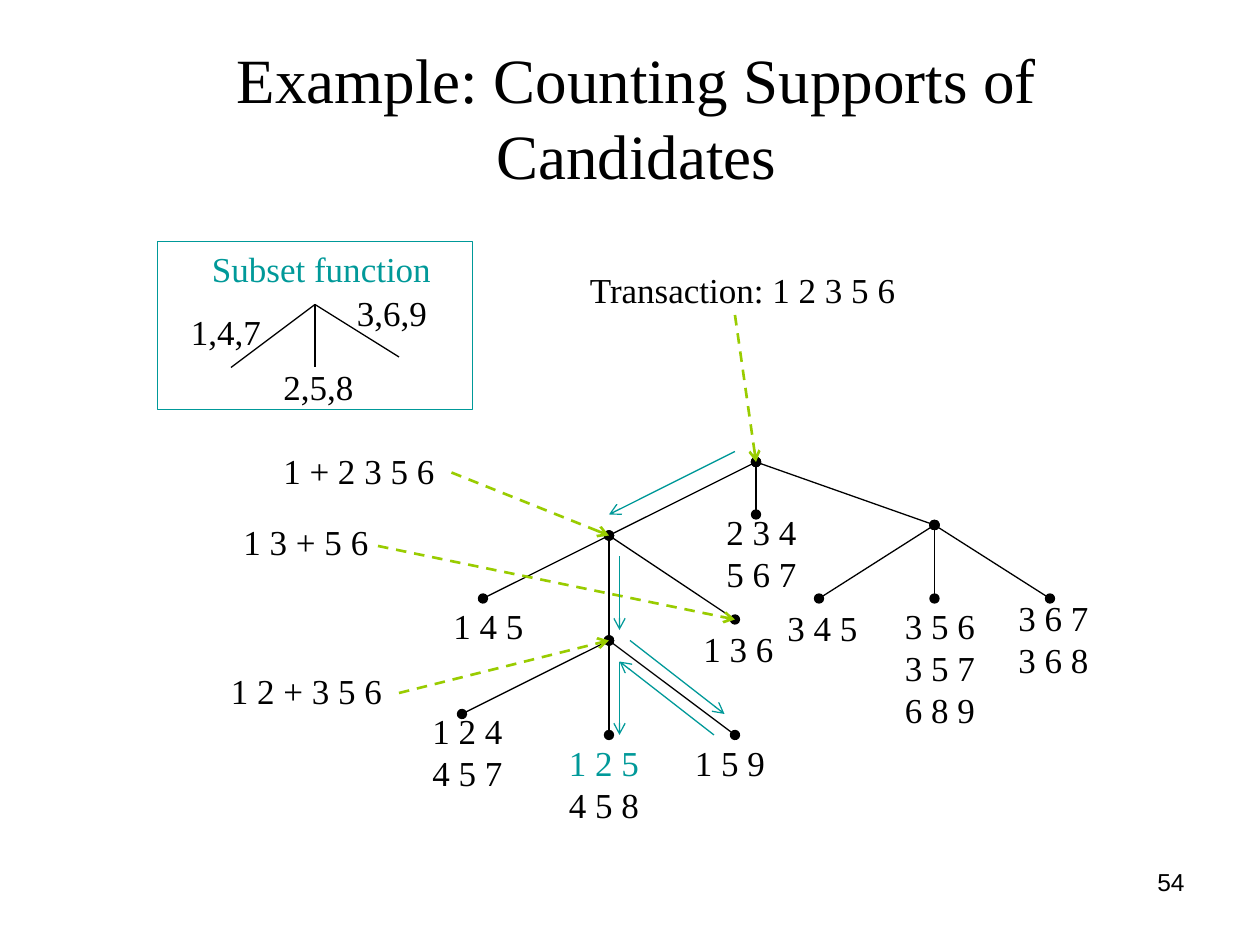
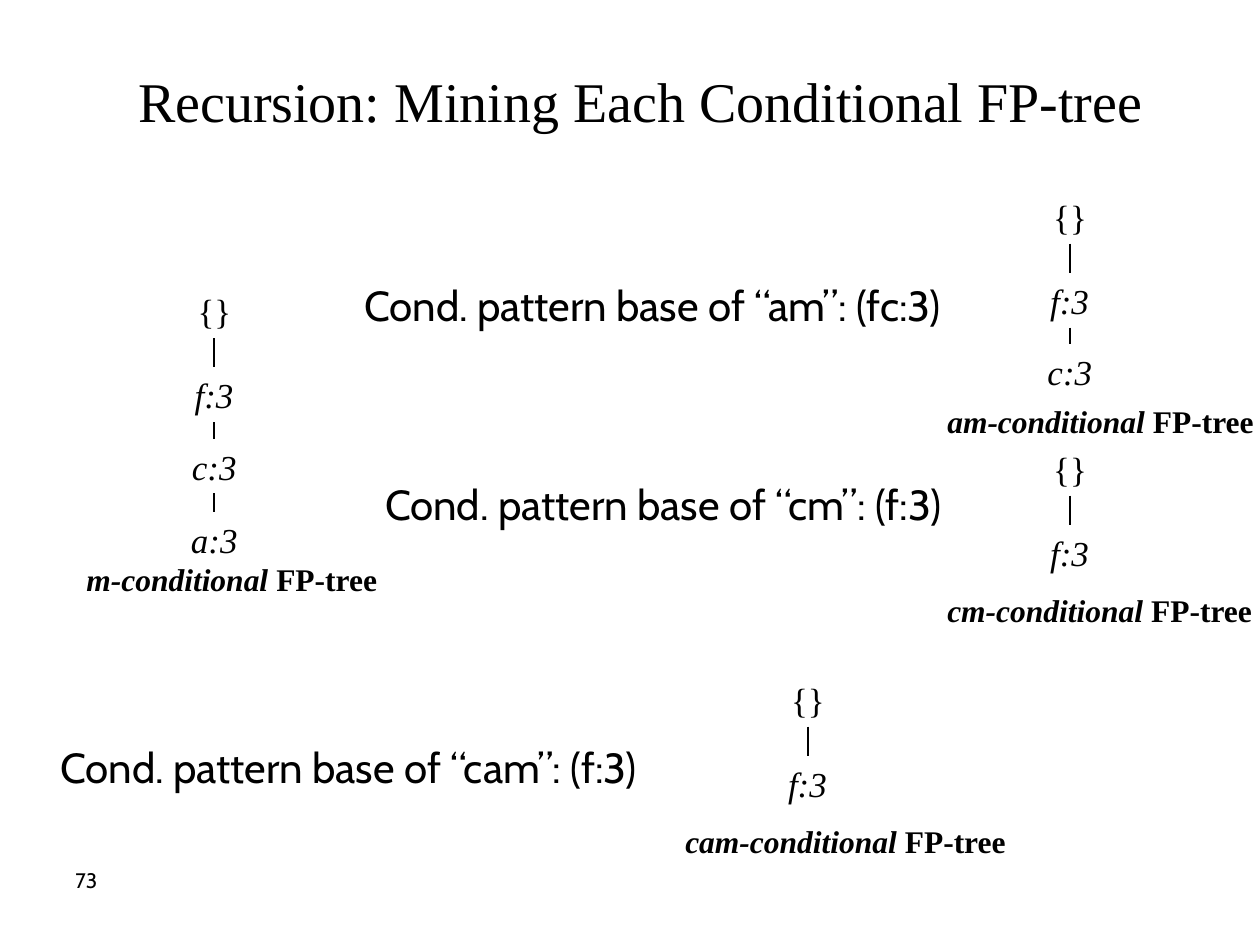
import dataclasses

import lxml.etree
import pptx
import pptx.dml.color
import pptx.enum.dml
import pptx.enum.shapes
import pptx.enum.text
import pptx.oxml.ns
import pptx.util

ALIGN = pptx.enum.text.PP_ALIGN
CELLS_PER_INCH = 12


@dataclasses.dataclass(frozen=True)
class Theme:
    """Colours, fonts, type sizes and line widths shared by the slides."""
    ink: str = "000000"
    teal: str = "009999"
    green: str = "99CC00"
    serif: str = "Times New Roman"
    sans: str = "Cabin"
    plain: str = "Arial"
    title: int = 36
    long_title: int = 32
    label: int = 20
    caption: int = 18
    statement: int = 24
    thin: float = 0.74
    branch: float = 0.99
    dashed: float = 1.5


THEME = Theme()


@dataclasses.dataclass(frozen=True)
class Box:
    """A region on a grid of 120 columns by 90 rows."""
    left: float
    top: float
    width: float
    height: float

    def at(self, column, row):
        """Return the slide position of a cell in this region."""
        return cells(self.left + column), cells(self.top + row)

    def frame(self):
        """Return left, top, width and height as lengths."""
        return [cells(value) for value in (self.left, self.top, self.width, self.height)]


def cells(count):
    """Turn grid cells into a length."""
    return pptx.util.Inches(count / CELLS_PER_INCH)


def colour(value):
    """Turn a hexadecimal string into a colour."""
    return pptx.dml.color.RGBColor.from_string(value)


def style(paragraph, size, font=THEME.serif, ink=THEME.ink, italic=None, bold=None):
    """Set the font of a whole paragraph."""
    paragraph.font.size = pptx.util.Pt(size)
    paragraph.font.name = font
    paragraph.font.color.rgb = colour(ink)
    paragraph.font.italic = italic
    paragraph.font.bold = bold


def row_height(size, lines=1):
    """Return the rows taken by lines of text with their insets."""
    return size * 0.2 * lines + 1.2


def add_label(shapes, box, column, row, width, text, size=THEME.label, **font):
    """Add an unwrapped label whose text may run to its right edge."""
    left, top = box.at(column, row)
    height = row_height(size, text.count("\n") + 1)
    shape = shapes.add_textbox(left, top, cells(width), cells(height))
    frame = shape.text_frame
    frame.word_wrap = False
    frame.auto_size = pptx.enum.text.MSO_AUTO_SIZE.SHAPE_TO_FIT_TEXT
    frame.margin_right = 0
    frame.text = text
    for paragraph in frame.paragraphs:
        style(paragraph, size, **font)
    return shape


def add_line(shapes, box, start, end, ink=THEME.ink, width=THEME.thin,
             head=None, tail=None, dashed=False):
    """Draw a line between two cells, with optional ends."""
    connector = shapes.add_connector(
        pptx.enum.shapes.MSO_CONNECTOR.STRAIGHT, *box.at(*start), *box.at(*end))
    connector.line.color.rgb = colour(ink)
    connector.line.width = pptx.util.Pt(width)
    if dashed:
        connector.line.dash_style = pptx.enum.dml.MSO_LINE.DASH
    properties = connector.element.spPr
    outline = properties.find(pptx.oxml.ns.qn("a:ln"))
    for tag, kind in (("a:headEnd", head), ("a:tailEnd", tail)):
        if kind:
            lxml.etree.SubElement(outline, pptx.oxml.ns.qn(tag), type=kind)
    lxml.etree.SubElement(properties, pptx.oxml.ns.qn("a:effectLst"))


def start_slide(presentation, title, title_box, size):
    """Add a title-only slide and format its title."""
    slide = presentation.slides.add_slide(presentation.slide_layouts[5])
    shape = slide.shapes.title
    shape.left, shape.top, shape.width, shape.height = title_box.frame()
    frame = shape.text_frame
    frame.text = title
    frame.word_wrap = True
    frame.auto_size = pptx.enum.text.MSO_AUTO_SIZE.NONE
    frame.vertical_anchor = pptx.enum.text.MSO_ANCHOR.MIDDLE
    paragraph = frame.paragraphs[0]
    paragraph.alignment = ALIGN.CENTER
    style(paragraph, size)
    return slide


def add_page_number(slide, box, number, size, font, alignment):
    """Place the page number in the footer."""
    frame = slide.shapes.add_textbox(*box.frame()).text_frame
    frame.word_wrap = True
    frame.text = number
    frame.paragraphs[0].alignment = alignment
    style(frame.paragraphs[0], size, font)


def add_subset_panel(slide, box):
    """Draw the framed key to the subset function."""
    shapes = slide.shapes.add_group_shape().shapes
    peak = (box.width / 2, 6)
    for end in ((7, 12), (15, 12), (23, 11)):
        add_line(shapes, box, peak, end)
    for column, row, text in ((2, 6, "1,4,7"), (10.8, 11.2, "2,5,8"), (17.8, 4.2, "3,6,9")):
        add_label(shapes, box, column, row, 9, text)
    add_label(shapes, box, 4, 0, 23.3, "Subset function", ink=THEME.teal)
    border = shapes.add_shape(pptx.enum.shapes.MSO_SHAPE.RECTANGLE, *box.frame())
    border.shadow.inherit = False
    border.fill.background()
    border.line.color.rgb = colour(THEME.teal)
    border.line.width = pptx.util.Pt(THEME.thin)


def add_candidate_tree(slide, box):
    """Draw the hash tree of candidates and its leaf labels."""
    shapes = slide.shapes.add_group_shape().shapes
    root, left, right, lower = (32, 0), (18, 7), (49, 6), (18, 17)
    branches = (
        (root, (left, right, (32, 5))),
        (left, ((6, 13), lower, (30, 15))),
        (lower, ((4, 24), (18, 26), (30, 26))),
        (right, ((38, 13), (49, 13), (60, 13))),
    )
    for parent, children in branches:
        for child in children:
            add_line(shapes, box, parent, child, head="oval", tail="oval")
    leaves = (
        (28, 4, "2 3 4\n5 6 7"), (2, 13, "1 4 5"), (25.8, 15.2, "1 3 6"),
        (0, 23, "1 2 4\n4 5 7"), (25, 26, "1 5 9"), (33.8, 13.2, "3 4 5"),
        (45, 13, "3 5 6\n3 5 7\n6 8 9"), (55.8, 12.2, "3 6 7\n3 6 8"),
    )
    for column, row, text in leaves:
        add_label(shapes, box, column, row, 9, text)
    match = add_label(shapes, box, 13, 26, 9, "1 2 5\n4 5 8")
    match.text_frame.paragraphs[0].font.color.rgb = colour(THEME.teal)


def add_transaction_walk(slide, box):
    """Label the transaction's prefixes and trace its way through the tree."""
    prefixes = (
        (35, 0, 31.5, "Transaction: 1 2 3 5 6", (50, 5), (52, 19)),
        (5.8, 17.2, 16.8, "1 + 2 3 5 6", (23, 20), (38, 26)),
        (0.8, 38.2, 16.8, "1 2 + 3 5 6", (18, 41), (38, 36)),
        (2, 24, 14.3, "1 3 + 5 6", (16, 27), (50, 34)),
    )
    for column, row, width, text, start, end in prefixes:
        add_label(slide.shapes, box, column, row, width, text)
        add_line(slide.shapes, box, start, end, THEME.green, THEME.dashed,
                 tail="arrow", dashed=True)
    steps = (
        ((50, 18), (38, 24)), ((40, 36), (49, 43)), ((48, 45), (39, 38)),
        ((39, 28), (39, 35)), ((39, 38), (39, 45)),
    )
    for start, end in steps:
        add_line(slide.shapes, box, start, end, THEME.teal, tail="arrow")


def add_conditional_tree(slide, box, name, items, trunk=12.84):
    """Draw a single-path tree over its caption."""
    shapes = slide.shapes.add_group_shape().shapes
    levels = (("{}", 0, 5.5), ("f:3", 8, 6.1), ("c:3", 14.8, 6.6), ("a:3", 21.8, 6.8))
    bottom = None
    for text, row, width in levels[:items + 1]:
        add_label(shapes, box, trunk - width / 2, row, width, text, italic=row > 0)
        if bottom:
            add_line(shapes, box, (trunk, bottom), (trunk, row), width=THEME.branch)
        bottom = row + row_height(THEME.label)
    caption = add_label(shapes, box, 0, box.height - row_height(THEME.caption), box.width,
                        name + "-conditional ", THEME.caption, bold=True)
    paragraph = caption.text_frame.paragraphs[0]
    paragraph.runs[0].font.italic = True
    paragraph.add_run().text = "FP-tree"


def add_pattern_base(slide, box, name, pattern):
    """State the conditional pattern base of an item set."""
    add_label(slide.shapes, box, 0, 0, box.width,
              f"Cond. pattern base of \u201c{name}\u201d: ({pattern}:3)",
              THEME.statement, font=THEME.sans)


def build_support_slide(presentation):
    """Build the slide on counting supports."""
    slide = start_slide(presentation, "Example: Counting Supports of Candidates",
                        Box(10, 3.6, 101.25, 15), THEME.title)
    add_page_number(slide, Box(86, 82, 28, 6.2), "54", 14, THEME.plain, ALIGN.RIGHT)
    add_subset_panel(slide, Box(15, 23, 30, 16))
    add_candidate_tree(slide, Box(40, 44, 65, 35))
    add_transaction_walk(slide, Box(20, 25, 67, 45))


def build_recursion_slide(presentation):
    """Build the slide on mining conditional trees."""
    slide = start_slide(presentation, "Recursion: Mining Each Conditional FP-tree",
                        Box(5, 5, 112.1, 9), THEME.long_title)
    add_page_number(slide, Box(6, 82, 28, 6.2), "73", 12, THEME.sans, ALIGN.LEFT)
    add_conditional_tree(slide, Box(7.05, 27, 30.1, 30.5), "m", 3, 13.35)
    add_pattern_base(slide, Box(33.5, 26, 64.2, 6), "am", "fc")
    add_conditional_tree(slide, Box(89.04, 18, 31.6, 24.5), "am", 2)
    add_pattern_base(slide, Box(35.5, 45, 61.9, 6), "cm", "f")
    add_conditional_tree(slide, Box(89.04, 42, 31.4, 18.5), "cm", 1)
    add_pattern_base(slide, Box(4.55, 70, 64.2, 6), "cam", "f")
    add_conditional_tree(slide, Box(64.08, 64, 33, 18.5), "cam", 1)


def main():
    """Build and save the presentation."""
    presentation = pptx.Presentation()
    presentation.slide_width = cells(120)
    presentation.slide_height = cells(90)
    build_support_slide(presentation)
    build_recursion_slide(presentation)
    presentation.save("out.pptx")


main()
